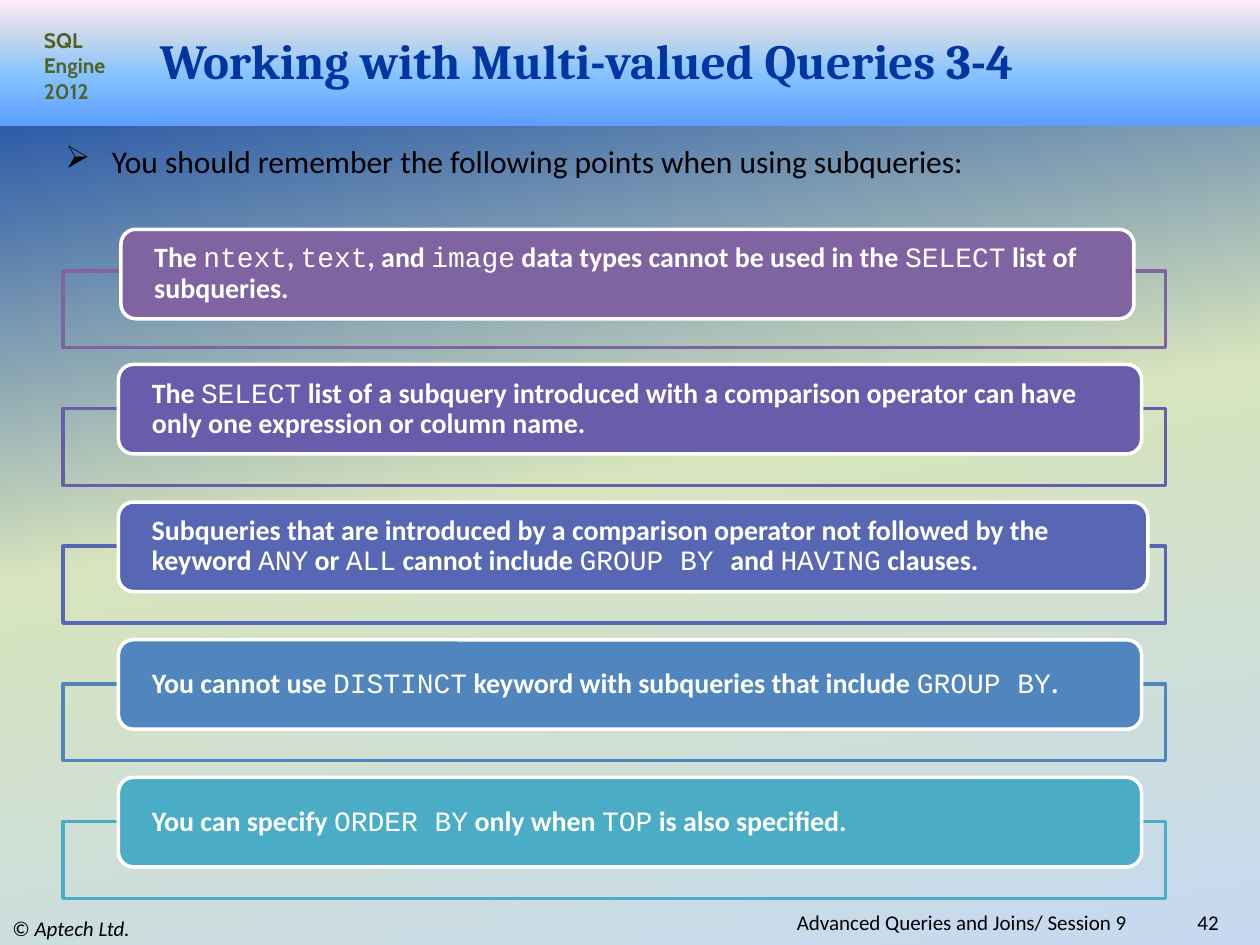
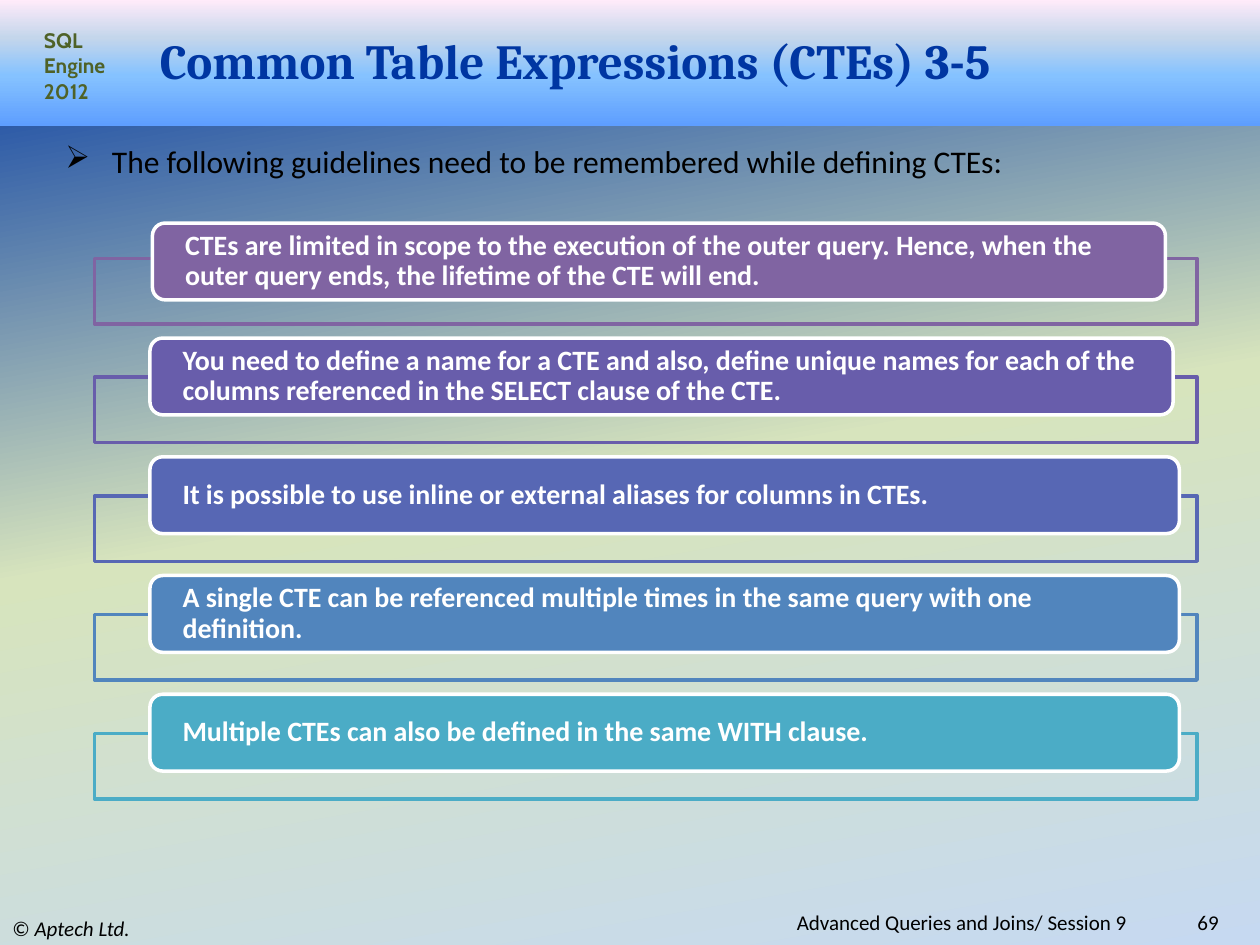
"""Build two slides of query guidelines with a shared band, title and footers."""
import lxml.etree
import pptx
import pptx.dml.color
import pptx.enum.shapes
import pptx.enum.text
import pptx.oxml.ns
import pptx.util

Inches = pptx.util.Inches
Pt = pptx.util.Pt
qn = pptx.oxml.ns.qn
color = pptx.dml.color.RGBColor.from_string
SHAPE = pptx.enum.shapes.MSO_SHAPE
ALIGN = pptx.enum.text.PP_ALIGN
ANCHOR = pptx.enum.text.MSO_ANCHOR

BACKGROUND = [(0, "0036A2"), (50, "D7E4BD"), (100, "C6D9F1")]
BAND = [(0, "5E9EFF"), (40, "85C2FF"), (70, "C4D6EB"), (100, "FFEBFA")]
BAR_COLORS = ["8064A2", "685DAB", "5767B4", "5185BD", "4BACC6"]
CODE = {"name": "Courier New", "bold": False}

SLIDES = [
    {
        "title": "Working with Multi-valued Queries 3-4",
        "number": "42",
        "lead": "You should remember the following points when using subqueries:",
        "left": 0.5, "first_top": 2.15, "last_top": 6.52, "frame_height": 0.61,
        "bar_height": 0.71, "rises": [0.33] + [0.35] * 4,
        "bar_widths": [8.04, 8.12, 8.17, 8.12, 8.12],
        "points": [
            "The `ntext`, `text`, and `image` data types cannot be used in the `SELECT` list of subqueries.",
            "The `SELECT` list of a subquery introduced with a comparison operator can have only one expression or column name.",
            "Subqueries that are introduced by a comparison operator not followed by the keyword `ANY` or `ALL` cannot include `GROUP BY `and `HAVING` clauses.",
            "You cannot use `DISTINCT` keyword with subqueries that include `GROUP BY`.",
            "You can specify `ORDER BY` only when `TOP` is also specified.",
        ],
    },
    {
        "title": "Common Table Expressions (CTEs) 3-5",
        "number": "69",
        "lead": "The following guidelines need to be remembered while defining CTEs:",
        "left": 0.75, "first_top": 2.05, "last_top": 5.82, "frame_height": 0.52,
        "bar_height": 0.61, "rises": [0.28] + [0.31] * 4,
        "bar_widths": [8.04, 8.12, 8.17, 8.17, 8.17],
        "points": [
            "CTEs are limited in scope to the execution of the outer query. Hence, when the outer query ends, the lifetime of the CTE will end.",
            "You need to define a name for a CTE and also, define unique names for each of the columns referenced in the SELECT clause of the CTE.",
            "It is possible to use inline or external aliases for columns in CTEs.",
            "A single CTE can be referenced multiple times in the same query with one definition.",
            "Multiple CTEs can also be defined in the same WITH clause.",
        ],
    },
]


def set_gradient(fill, element, stops, angle):
    """Fill with a linear gradient whose angle runs clockwise."""
    fill.gradient()
    fill.gradient_angle = 360 - angle
    stop_list = element.find(".//" + qn("a:gsLst"))
    for stop in list(stop_list):
        stop_list.remove(stop)
    for position, value in stops:
        stop = lxml.etree.SubElement(stop_list, qn("a:gs"), pos=str(position * 1000))
        lxml.etree.SubElement(stop, qn("a:srgbClr"), val=value)


def write_text(box, text, size=12, name="Calibri", ink="000000", bold=False, align=ALIGN.LEFT,
               anchor=ANCHOR.MIDDLE, bullet=None, marked=None, spacing=None, insets=(0.1, 0.05)):
    """Write one paragraph; parts between backticks take the marked format."""
    frame = box.text_frame
    frame.word_wrap = True
    frame.vertical_anchor = anchor
    frame.margin_left = frame.margin_right = Inches(insets[0])
    frame.margin_top = frame.margin_bottom = Inches(insets[1])
    para = frame.paragraphs[0]
    if bullet:
        properties = para._p.get_or_add_pPr()
        properties.set("marL", str(Inches(0.37)))
        properties.set("indent", str(-Inches(0.37)))
        lxml.etree.SubElement(properties, qn("a:buChar"), char=bullet)
    para.alignment = align
    para.line_spacing = spacing
    for index, part in enumerate(text.split("`")):
        if part:
            span = para.add_run()
            span.text = part
            span.font.size = Pt(size)
            span.font.name = name
            span.font.bold = bold
            span.font.color.rgb = color(ink)
            if index % 2:
                for key, value in marked.items():
                    setattr(span.font, key, value)


deck = pptx.Presentation()
deck.slide_width = Inches(10)
deck.slide_height = Inches(7.5)

for content in SLIDES:
    page = deck.slides.add_slide(deck.slide_layouts[6])
    set_gradient(page.background.fill, page.element, BACKGROUND, 80)
    band = page.shapes.add_shape(SHAPE.RECTANGLE, 0, 0, Inches(10), Inches(1))
    band.shadow.inherit = False
    band.line.fill.background()
    set_gradient(band.fill, band.element, BAND, 270)

    texts = [
        ((0, 7.23, 3.33, 0.27), "© `Aptech Ltd.`", {"marked": {"italic": True}}),
        ((0.25, 0.17, 0.75, 0.71), "SQL Engine 2012",
         {"name": "Cabin", "ink": "4F6228", "bold": True, "anchor": ANCHOR.TOP}),
        ((8.92, 7.23, 0.85, 0.18), content["number"], {"align": ALIGN.RIGHT}),
        ((2.5, 7.23, 6.58, 0.18), "Advanced Queries and Joins/ Session 9 ", {"align": ALIGN.RIGHT}),
        ((1.17, 0.25, 8.33, 0.45), content["title"],
         {"size": 28, "name": "Cambria", "ink": "0036A2", "bold": True}),
        ((0.42, 1.08, 9.17, 0.4), content["lead"],
         {"size": 18, "anchor": ANCHOR.TOP, "bullet": "➢"}),
    ]
    for place, text, style in texts:
        box = page.shapes.add_textbox(*map(Inches, place))
        write_text(box, text, **style)

    diagram = page.shapes.add_group_shape()
    step = (content["last_top"] - content["first_top"]) / (len(content["points"]) - 1)
    rows = zip(content["points"], BAR_COLORS, content["bar_widths"], content["rises"])
    for index, (point, bar_color, bar_width, rise) in enumerate(rows):
        top = content["first_top"] + index * step
        bar_left = content["left"] + (0.44 if index else 0.46)
        frame = diagram.shapes.add_shape(
            SHAPE.RECTANGLE, Inches(content["left"]), Inches(top),
            Inches(8.75), Inches(content["frame_height"]))
        frame.fill.background()
        bar = diagram.shapes.add_shape(
            SHAPE.ROUNDED_RECTANGLE, Inches(bar_left), Inches(top - rise),
            Inches(bar_width), Inches(content["bar_height"]))
        bar.fill.solid()
        bar.fill.fore_color.rgb = color(bar_color)
        for shape, line_color in ((frame, bar_color), (bar, "FFFFFF")):
            shape.shadow.inherit = False
            shape.line.color.rgb = color(line_color)
            shape.line.width = Pt(2)
        write_text(bar, point, size=16, ink="FFFFFF", bold=True, marked=CODE,
                   spacing=0.9, insets=(0.23, 0))

deck.save("out.pptx")
